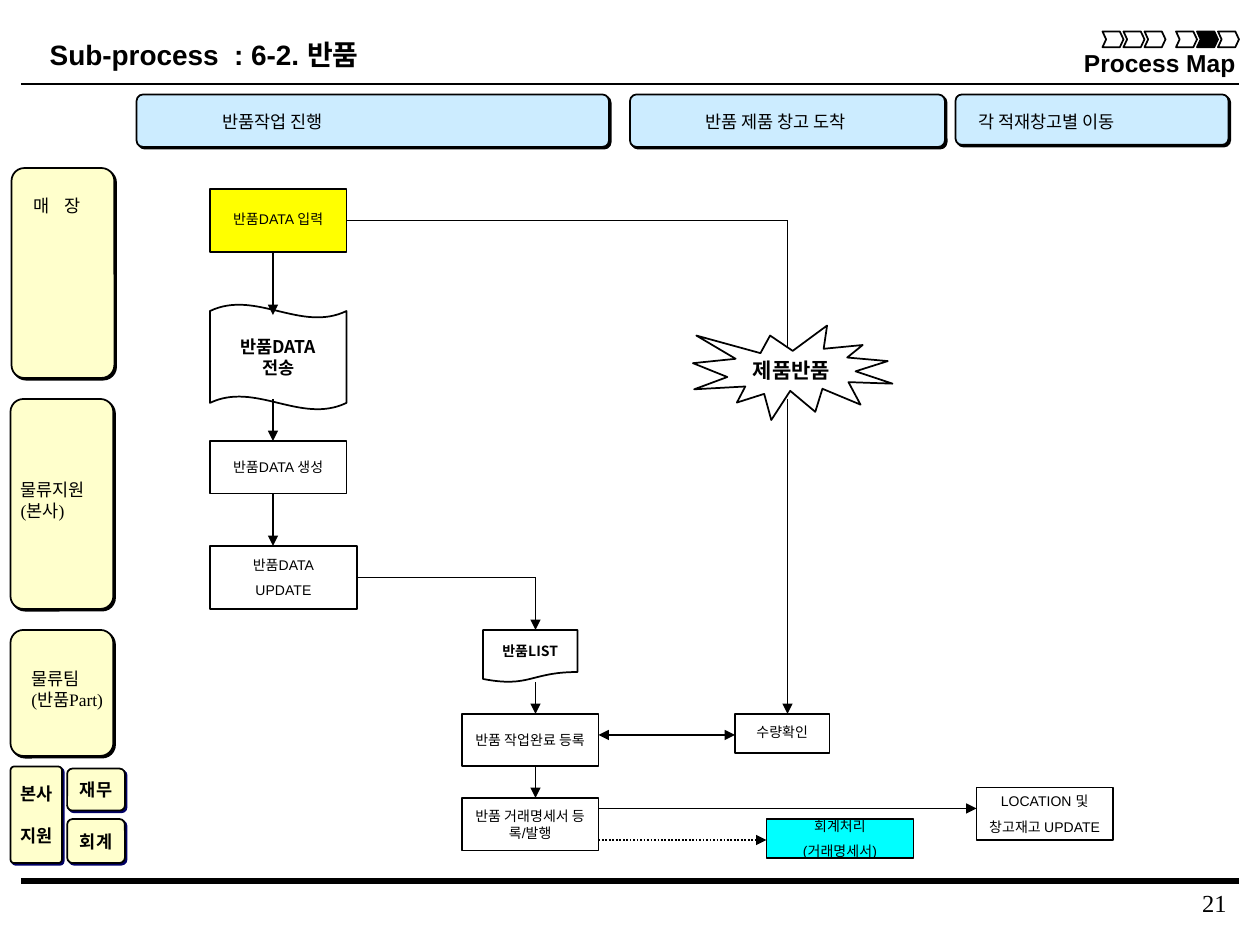
from dataclasses import dataclass

import pptx
import pptx.dml.color
import pptx.enum.dml
import pptx.enum.shapes
import pptx.enum.text
import pptx.oxml
import pptx.oxml.ns
import pptx.util
from lxml import etree
from pptx.dml.color import RGBColor
from pptx.util import Cm, Pt

SHAPES = pptx.enum.shapes.MSO_SHAPE
ALIGN = pptx.enum.text.PP_ALIGN
ANCHOR = pptx.enum.text.MSO_ANCHOR
qn = pptx.oxml.ns.qn

BLACK = RGBColor(0x00, 0x00, 0x00)
WHITE = RGBColor(0xFF, 0xFF, 0xFF)
NAVY = RGBColor(0x00, 0x00, 0x66)
PALE_BLUE = RGBColor(0xCC, 0xEC, 0xFF)
CREAM = RGBColor(0xFF, 0xFF, 0xCC)
YELLOW = RGBColor(0xFF, 0xFF, 0x00)
CYAN = RGBColor(0x00, 0xFF, 0xFF)

GRID_CM = 2.54 / 12  # every position and size is counted in twelfths of an inch


@dataclass(frozen=True)
class TextStyle:
    font: str
    size: float
    bold: bool = False
    align: ALIGN = ALIGN.CENTER
    anchor: ANCHOR = ANCHOR.MIDDLE
    wrap: bool = False
    margins: tuple = (0.25, 0.13)
    space_before: float = 0
    line_spacing: object = None
    grow: bool = False


STEP = TextStyle("Arial", 8, wrap=True, margins=(0.05, 0.1), space_before=5)
TIGHT_STEP = TextStyle("Arial", 8, wrap=True, margins=(0.05, 0.1), line_spacing=0.8)
SMALL_BOLD = TextStyle("Noto Sans CJK KR", 8, True)
BOLD = TextStyle("Noto Sans CJK KR", 10, True, line_spacing=Pt(12))
SPACED_BOLD = TextStyle("Noto Sans CJK KR", 10, True, line_spacing=Pt(12), space_before=12)
BURST = TextStyle("Noto Sans CJK KR", 12, True)
LABEL = TextStyle("Times New Roman", 10, align=ALIGN.LEFT, anchor=ANCHOR.TOP, wrap=True, grow=True)
TITLE = TextStyle("Arial", 16, True, anchor=ANCHOR.TOP, grow=True)
MAP_TITLE = TextStyle("Arial", 14, True, anchor=ANCHOR.TOP, grow=True)
PAGE = TextStyle("Times New Roman", 14, align=ALIGN.RIGHT, anchor=ANCHOR.TOP, wrap=True)


@dataclass(frozen=True)
class Box:
    """Place is left, top, width and height in grid steps."""
    place: tuple
    lines: tuple = ()
    style: TextStyle = STEP
    fill: RGBColor | None = WHITE
    preset: SHAPES = SHAPES.RECTANGLE
    corner: float | None = None
    shadow: RGBColor | None = None


@dataclass(frozen=True)
class Label:
    place: tuple
    lines: tuple
    style: TextStyle = LABEL
    tab_cm: float | None = None


@dataclass(frozen=True)
class Link:
    start: tuple
    end: tuple
    head: bool = False
    tail: bool = True
    width: float = 1
    dotted: bool = False


def card(place: tuple, fill: RGBColor, shadow: RGBColor = BLACK, lines: tuple = (),
         style: TextStyle = BOLD, corner: float = 0.125) -> Box:
    return Box(place, lines, style, fill, SHAPES.ROUNDED_RECTANGLE, corner, shadow)


RULES = [
    Link((2, 83.9), (118, 83.9), tail=False, width=3.75),
    Link((2, 8), (118, 8), tail=False),
]
CARDS = [
    card((13, 9, 45, 5), PALE_BLUE),
    card((60, 9, 30, 5), PALE_BLUE),
    card((91, 9, 26, 4.8), PALE_BLUE),
    card((1.1, 16, 9.8, 20), CREAM),
    card((1, 38, 9.8, 20), CREAM),
    card((1, 60, 9.8, 12), CREAM),
    card((1, 73, 4.9, 9.2), CREAM, NAVY, ("본사", "지원"), SPACED_BOLD, 0.07),
    card((6.4, 73.2, 5.5, 4), CREAM, NAVY, ("재무",)),
    card((6.4, 78, 5.5, 4.2), CREAM, NAVY, ("회계",)),
]
CHEVRONS = [
    Box((left, 3, 2, 1.5), fill=BLACK if left == 114 else None,
        preset=SHAPES.CHEVRON, corner=0.23)
    for left in (105, 107, 109, 112, 114, 116)
]
STEPS = [
    Box((20, 18, 13, 6), ("반품DATA 입력",), TIGHT_STEP, YELLOW),
    Box((20, 29, 13, 10), ("반품DATA", "전송"), BOLD, preset=SHAPES.WAVE, corner=0.0625),
    Box((20, 42, 13, 5), ("반품DATA 생성",)),
    Box((20, 52, 14, 6), ("반품DATA", "UPDATE")),
    Box((46, 60, 9, 5), ("반품LIST",), SMALL_BOLD, preset=SHAPES.FLOWCHART_DOCUMENT),
    Box((44, 68, 13, 5), ("반품 작업완료 등록",)),
    Box((44, 76, 13, 5), ("반품 거래명세서 등록/발행",)),
    Box((66, 31, 19, 9), ("제품반품",), BURST, preset=SHAPES.EXPLOSION1),
    Box((70, 68, 9, 3.7), ("수량확인",), TIGHT_STEP),
    Box((73, 78, 14, 3.7), ("회계처리", "(거래명세서)"), fill=CYAN),
    Box((93, 75, 13, 5), ("LOCATION 및", "창고재고 UPDATE")),
]
LABELS = [
    Label((3.2, 3, 32.5, 4.4), ("Sub-process  : 6-2. 반품",), TITLE),
    Label((102, 4, 16.9, 4), ("Process Map",), MAP_TITLE),
    Label((20, 10, 16, 3.2), ("반품작업 진행",)),
    Label((66, 10, 20, 3.2), ("반품 제품 창고 도착",)),
    Label((92, 10, 22, 3.2), ("각 적재창고별 이동",)),
    Label((2, 18, 10.2, 3.2), ("매\t장",), tab_cm=0.62),
    Label((0.8, 45, 12.2, 5.3), ("물류지원", "(본사)")),
    Label((1.8, 63, 12.2, 5.3), ("물류팀", "(반품Part)")),
    Label((96, 84, 22, 3), ("21",), PAGE),
]
LINKS = [
    Link((26, 24), (26, 30)),
    Link((26, 38), (26, 42)),
    Link((26, 47), (26, 52)),
    Link((33, 21), (75, 21), tail=False),
    Link((75, 21), (75, 33), tail=False),
    Link((75, 38), (75, 68)),
    Link((34, 55), (51, 55), tail=False),
    Link((51, 55), (51, 60)),
    Link((51, 65), (51, 68)),
    Link((51, 73), (51, 76)),
    Link((57, 80), (73, 80), dotted=True),
    Link((57, 77), (93, 77)),
    Link((57, 70), (70, 70), head=True),
]


def grid(*steps: float) -> list:
    return [Cm(step * GRID_CM) for step in steps]


def apply(target, values: dict) -> None:
    for name, value in values.items():
        setattr(target, name, value)


def write_text(frame, lines: tuple, style: TextStyle, tab_cm: float | None = None) -> None:
    side, edge = map(Cm, style.margins)
    auto_size = pptx.enum.text.MSO_AUTO_SIZE
    apply(frame, dict(
        margin_left=side, margin_right=side, margin_top=edge, margin_bottom=edge,
        word_wrap=style.wrap, vertical_anchor=style.anchor,
        auto_size=auto_size.SHAPE_TO_FIT_TEXT if style.grow else auto_size.NONE))
    for index, line in enumerate(lines):
        paragraph = frame.add_paragraph() if index else frame.paragraphs[0]
        if tab_cm:
            tabs = etree.SubElement(paragraph._p.get_or_add_pPr(), qn("a:tabLst"))
            etree.SubElement(tabs, qn("a:tab"), pos=str(Cm(tab_cm)), algn="l")
        apply(paragraph, dict(alignment=style.align, line_spacing=style.line_spacing,
                              space_before=Pt(style.space_before if index else 0)))
        run = paragraph.add_run()
        run.text = line
        apply(run.font, dict(name=style.font, size=Pt(style.size), bold=style.bold))
        run.font.color.rgb = BLACK


def add_shadow(shape, color: RGBColor) -> None:
    effects = shape._element.spPr.find(qn("a:effectLst"))
    shadow = etree.SubElement(effects, qn("a:outerShdw"), dist=str(Pt(1.4)),
                              dir="2700000", algn="ctr", rotWithShape="0")
    etree.SubElement(shadow, qn("a:srgbClr"), val=str(color))


def draw_box(slide, box: Box) -> None:
    shape = slide.shapes.add_shape(box.preset, *grid(*box.place))
    shape.shadow.inherit = False
    if box.corner is not None:
        shape.adjustments[0] = box.corner
    if box.fill is None:
        shape.fill.background()
    else:
        shape.fill.solid()
        shape.fill.fore_color.rgb = box.fill
    shape.line.color.rgb = BLACK
    shape.line.width = Pt(1)
    if box.shadow is not None:
        add_shadow(shape, box.shadow)
    write_text(shape.text_frame, box.lines, box.style)


def draw_label(slide, label: Label) -> None:
    text_box = slide.shapes.add_textbox(*grid(*label.place))
    write_text(text_box.text_frame, label.lines, label.style, label.tab_cm)


def draw_link(slide, link: Link) -> None:
    connector = slide.shapes.add_connector(
        pptx.enum.shapes.MSO_CONNECTOR.STRAIGHT, *grid(*link.start, *link.end))
    connector.line.color.rgb = BLACK
    connector.line.width = Pt(link.width)
    if link.dotted:
        connector.line.dash_style = pptx.enum.dml.MSO_LINE.ROUND_DOT
    properties = connector._element.spPr
    outline = properties.find(qn("a:ln"))
    for tag, shown in (("a:headEnd", link.head), ("a:tailEnd", link.tail)):
        if shown:
            etree.SubElement(outline, qn(tag), type="triangle")
    etree.SubElement(properties, qn("a:effectLst"))


def main() -> None:
    presentation = pptx.Presentation()
    apply(presentation, dict(slide_width=Cm(25.4), slide_height=Cm(19.05)))
    slide = presentation.slides.add_slide(presentation.slide_layouts[6])
    for draw, items in ((draw_link, RULES), (draw_box, CARDS + CHEVRONS + STEPS),
                        (draw_label, LABELS), (draw_link, LINKS)):
        for item in items:
            draw(slide, item)
    presentation.save("out.pptx")


if __name__ == "__main__":
    main()
